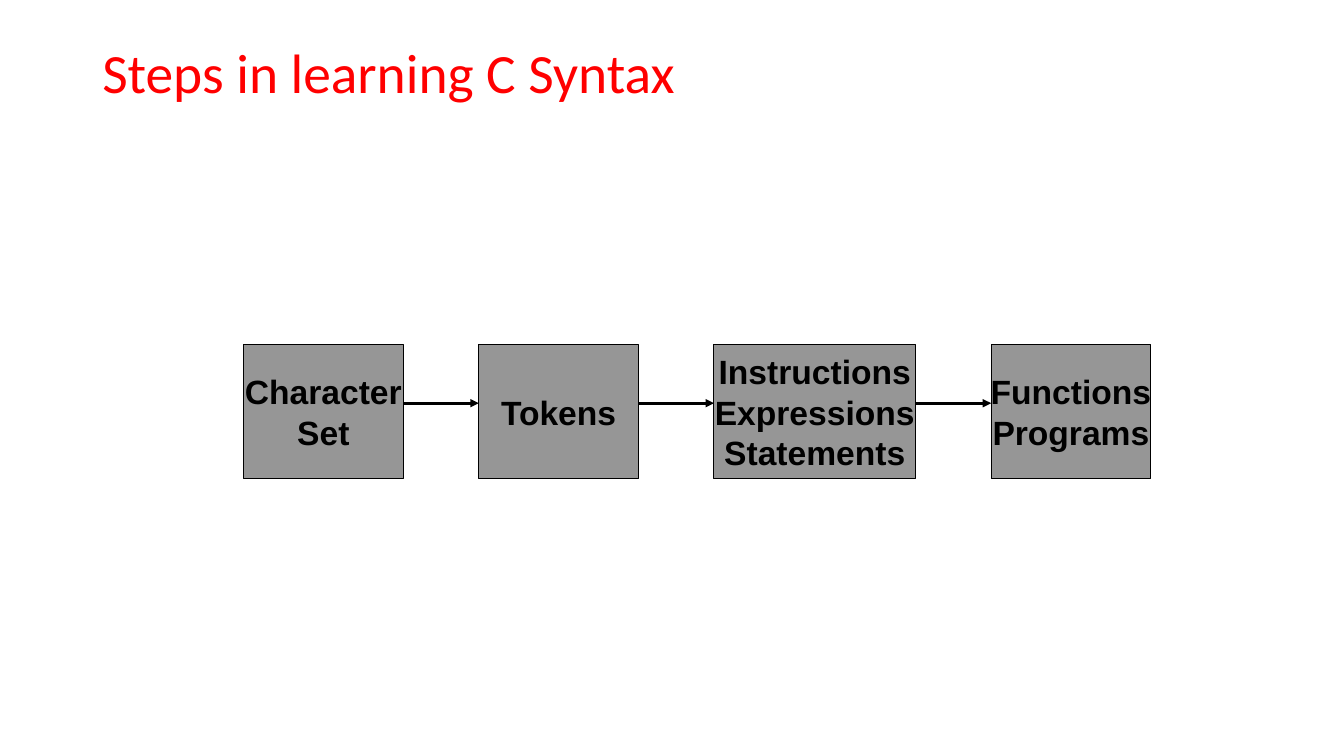
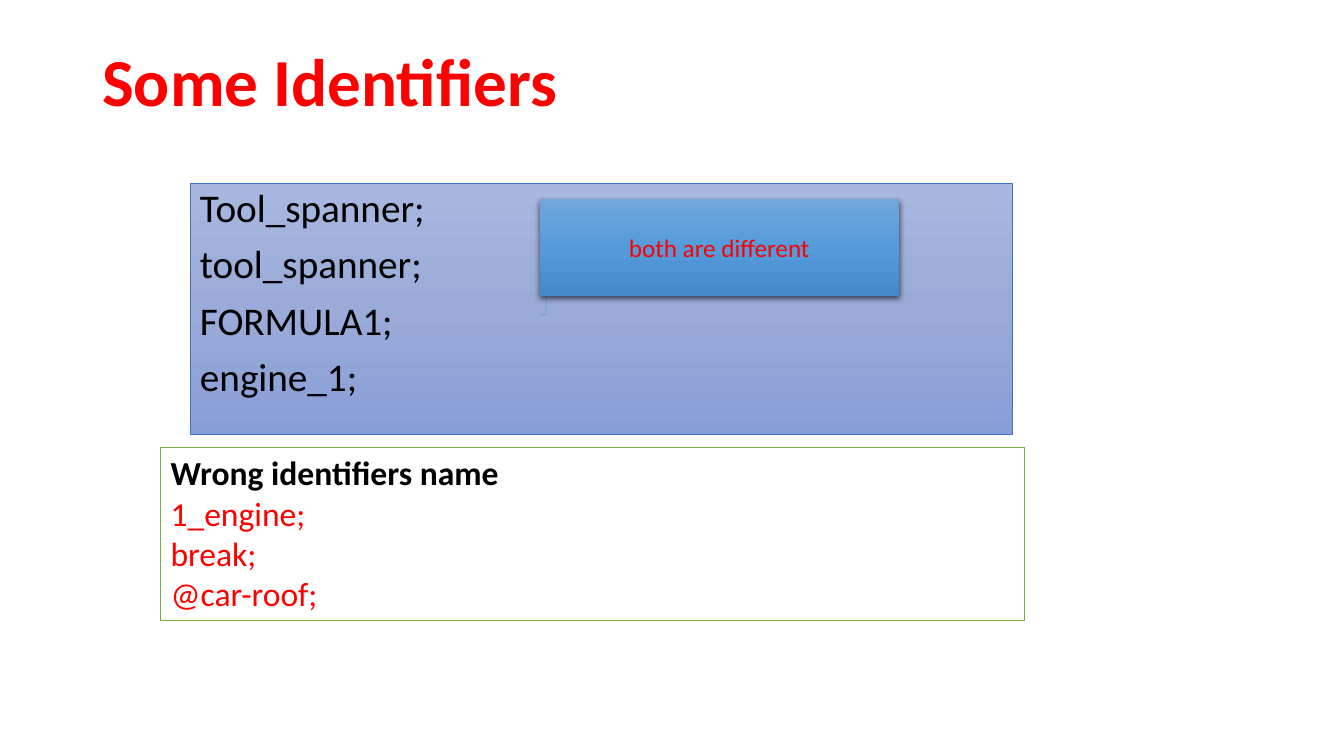
"""Build two slides on C syntax: learning steps and identifiers."""
from dataclasses import dataclass

from lxml import etree
from pptx import Presentation
from pptx import util as u
from pptx.dml.color import RGBColor
from pptx.enum import shapes, text
from pptx.oxml.ns import qn


@dataclass(frozen=True)
class Theme:
    """Colours, fonts and type sizes shared by the slides."""
    black: str = "000000"
    white: str = "FFFFFF"
    red: str = "FF0000"
    grey: str = "969696"
    green: str = "70AD47"
    blue_line: str = "4472C4"
    brace_line: str = "5B9BD5"
    list_fill: tuple = ("A8B7DF", "9AABD9", "889ED7")
    callout_fill: tuple = ("71A6DB", "559BDB", "448ACA")
    sans: str = "Calibri"
    diagram: str = "Arial"
    title: float = 39.6
    title_big: float = 48
    body: float = 28
    label: float = 24
    callout: float = 18


T = Theme()
SHAPE = shapes.MSO_SHAPE
ALIGN = text.PP_ALIGN
ANCHOR = text.MSO_ANCHOR


def px(n):
    """Turn pixels, 96 to the inch, into EMU."""
    return u.Emu(n * 9525)


def rgb(color):
    """Turn a hex string into a colour."""
    return RGBColor.from_string(color)


def node(parent, tag, **attrs):
    """Add a DrawingML child element with string attributes."""
    return etree.SubElement(parent, qn(f"a:{tag}"), {k: str(v) for k, v in attrs.items()})


def write(sp, lines, size, color=T.black, font=T.sans, bold=False, align=ALIGN.LEFT,
          anchor=ANCHOR.TOP, wrap=True, leading=1.0, before=0):
    """Write lines as paragraphs; a line may be a (text, color, bold) tuple."""
    tf = sp.text_frame
    tf.word_wrap = wrap
    tf.vertical_anchor = anchor
    for i, line in enumerate(lines):
        words, tint, heavy = line if isinstance(line, tuple) else (line, color, bold)
        p = tf.add_paragraph() if i else tf.paragraphs[0]
        p.alignment = align
        p.line_spacing = leading
        if i and before:
            p.space_before = u.Pt(before)
        r = p.add_run()
        r.text = words
        r.font.name = font
        r.font.size = u.Pt(size)
        r.font.bold = heavy
        r.font.color.rgb = rgb(tint)


def add_title(slide, words, size, height, bold=False):
    """Add the red slide title."""
    sp = slide.shapes.add_textbox(px(88), px(38), px(1104), px(height))
    write(sp, [words], size, T.red, bold=bold, anchor=ANCHOR.MIDDLE, leading=0.9)


def add_shape(slide, kind, box, fill=None, line=None, width=0.75):
    """Add a preset shape with a solid, three-stop gradient or empty fill."""
    sp = slide.shapes.add_shape(kind, *map(px, box))
    sp.shadow.inherit = False
    if isinstance(fill, tuple):
        fill_gradient(sp, fill)
    elif fill:
        sp.fill.solid()
        sp.fill.fore_color.rgb = rgb(fill)
    else:
        sp.fill.background()
    if line:
        sp.line.color.rgb = rgb(line)
        sp.line.width = u.Pt(width)
    else:
        sp.line.fill.background()
    return sp


def fill_gradient(sp, colors):
    """Fill a shape from top to bottom with evenly spaced colours."""
    sp.fill.gradient()
    sp.fill.gradient_angle = 270
    stops = sp._element.spPr.find(f".//{qn('a:gsLst')}")
    for gs in list(stops):
        stops.remove(gs)
    for i, color in enumerate(colors):
        gs = node(stops, "gs", pos=i * 100000 // (len(colors) - 1))
        node(gs, "srgbClr", val=color)


def add_shadow(sp):
    """Give a shape a soft shadow below it."""
    effects = sp._element.spPr.find(qn("a:effectLst"))
    shadow = node(effects, "outerShdw", blurRad=u.Pt(4.5), dist=u.Pt(1.5),
                  dir=5400000, algn="ctr", rotWithShape=0)
    node(node(shadow, "srgbClr", val=T.black), "alpha", val=63000)


def add_arrow(slide, x, y, length):
    """Add a horizontal arrow pointing right."""
    c = slide.shapes.add_connector(shapes.MSO_CONNECTOR.STRAIGHT, px(x), px(y), px(x + length), px(y))
    c.line.color.rgb = rgb(T.black)
    c.line.width = u.Pt(2)
    node(c.line._get_or_add_ln(), "tailEnd", type="triangle")
    node(c._element.spPr, "effectLst")


def build_steps(slide):
    """Draw the chain of learning steps."""
    add_title(slide, "Steps in learning C Syntax", T.title, 67)
    steps = [
        (152, ["Character", "Set"]),
        (152, ["Tokens"]),
        (192, ["Instructions", "Expressions", "Statements"]),
        (152, ["Functions", "Programs"]),
    ]
    x, gap = 232, 72
    for i, (width, lines) in enumerate(steps):
        if i:
            add_arrow(slide, x - gap, 384, gap)
        sp = add_shape(slide, SHAPE.RECTANGLE, (x, 328, width, 128), T.grey, T.black)
        write(sp, lines, T.label, font=T.diagram, bold=True, align=ALIGN.CENTER,
              anchor=ANCHOR.MIDDLE, wrap=False)
        x += width + gap


def build_identifiers(slide):
    """Draw the valid and the wrong identifiers."""
    add_title(slide, "Some Identifiers", T.title_big, 86, bold=True)
    valid = add_shape(slide, SHAPE.RECTANGLE, (181, 175, 783, 239), T.list_fill, T.blue_line, 0.5)
    write(valid, ["Tool_spanner;", "tool_spanner;", "FORMULA1;", "engine_1;"], T.body,
          leading=0.9, before=10)
    add_shape(slide, SHAPE.RIGHT_BRACE, (514, 228, 12, 72), line=T.brace_line, width=0.5)
    callout = add_shape(slide, SHAPE.RECTANGLE, (514, 190, 342, 92), T.callout_fill)
    add_shadow(callout)
    write(callout, ["both are different"], T.callout, T.red, align=ALIGN.CENTER,
          anchor=ANCHOR.MIDDLE)
    wrong = add_shape(slide, SHAPE.RECTANGLE, (153, 426, 823, 165), T.white, T.green, 1)
    write(wrong, [("Wrong identifiers name", T.black, True), "1_engine;", "break;", "@car-roof;"],
          T.label, T.red)


def main():
    """Build and save the presentation."""
    prs = Presentation()
    prs.slide_width, prs.slide_height = px(1280), px(720)
    for build in (build_steps, build_identifiers):
        build(prs.slides.add_slide(prs.slide_layouts[6]))
    prs.save("out.pptx")


if __name__ == "__main__":
    main()
